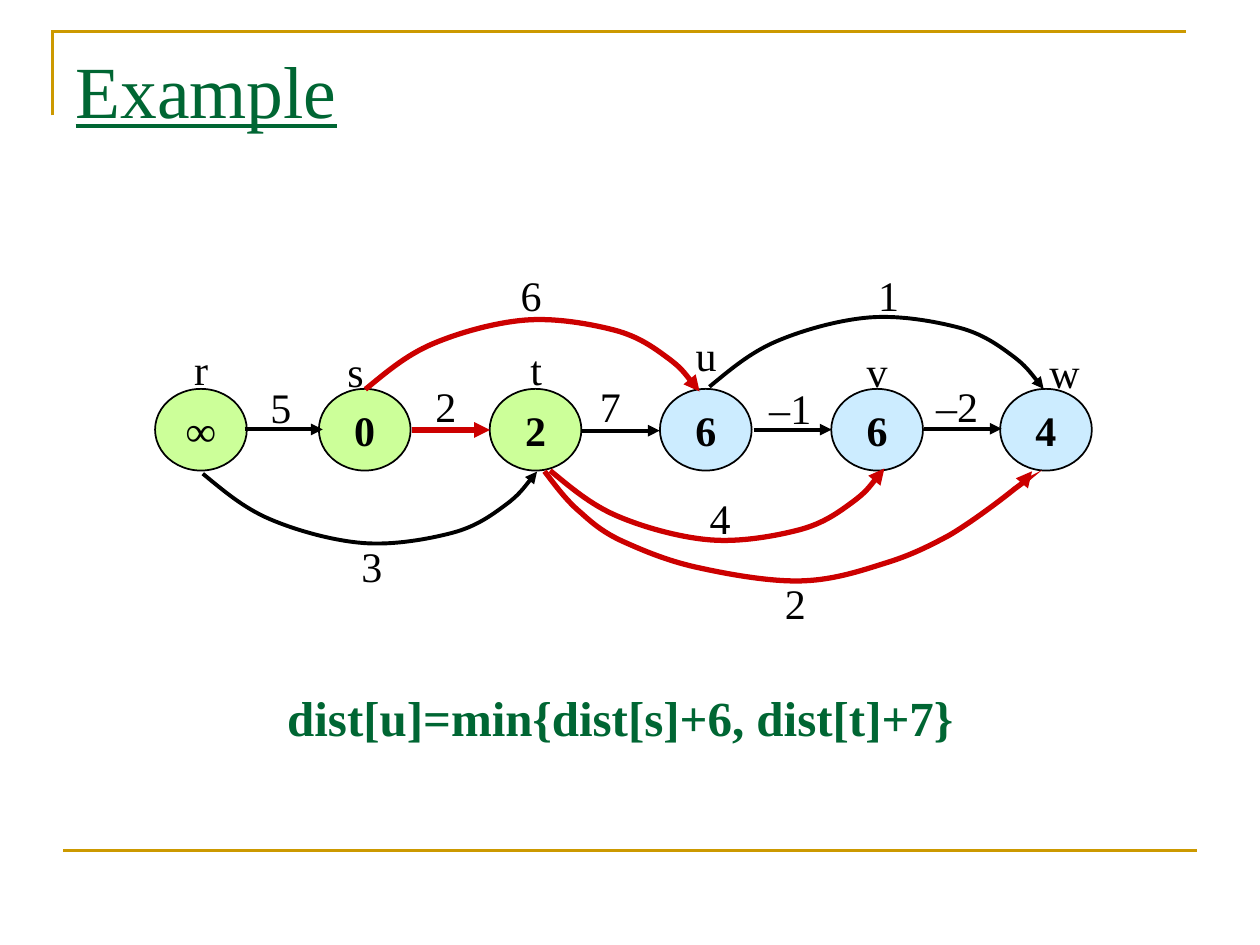
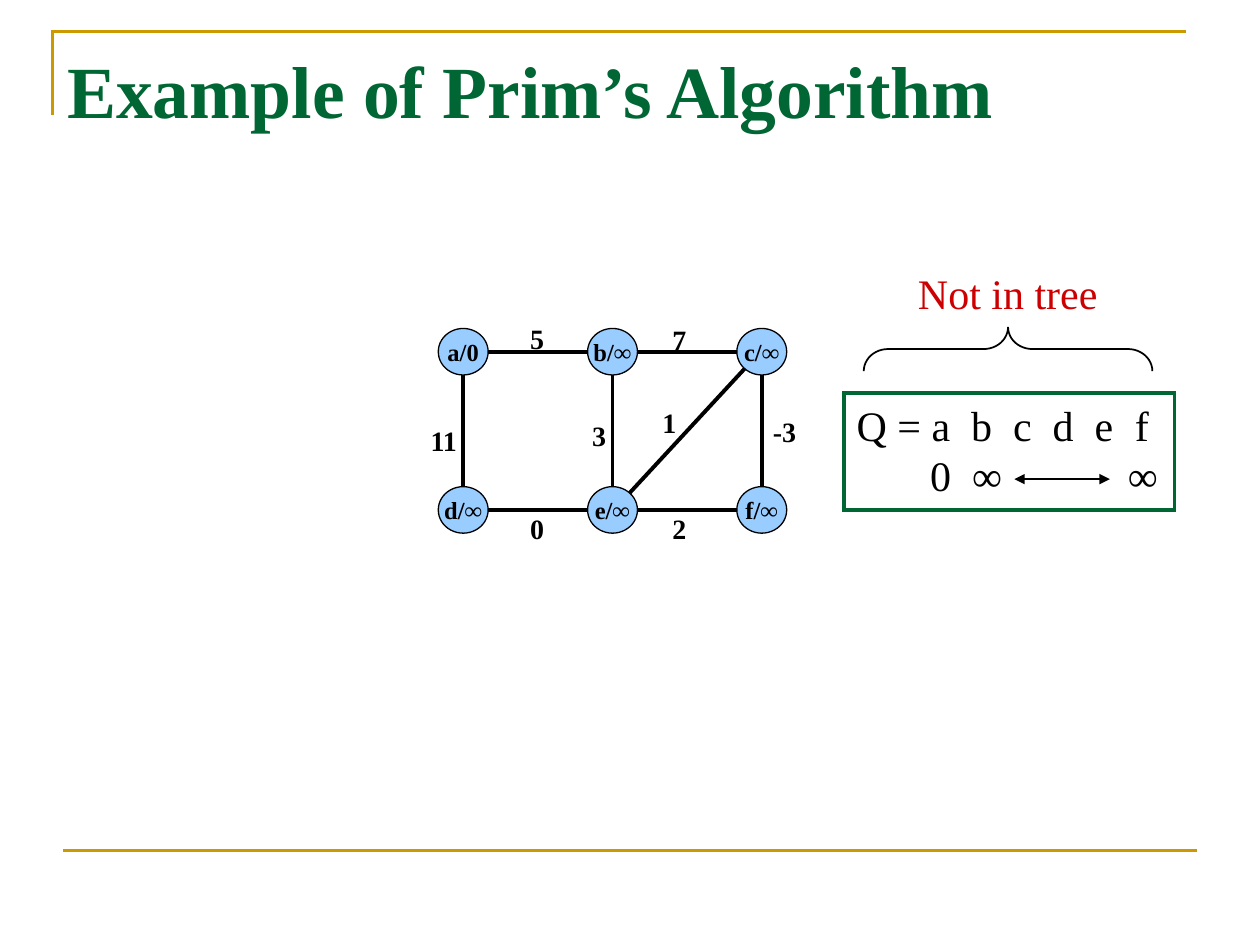
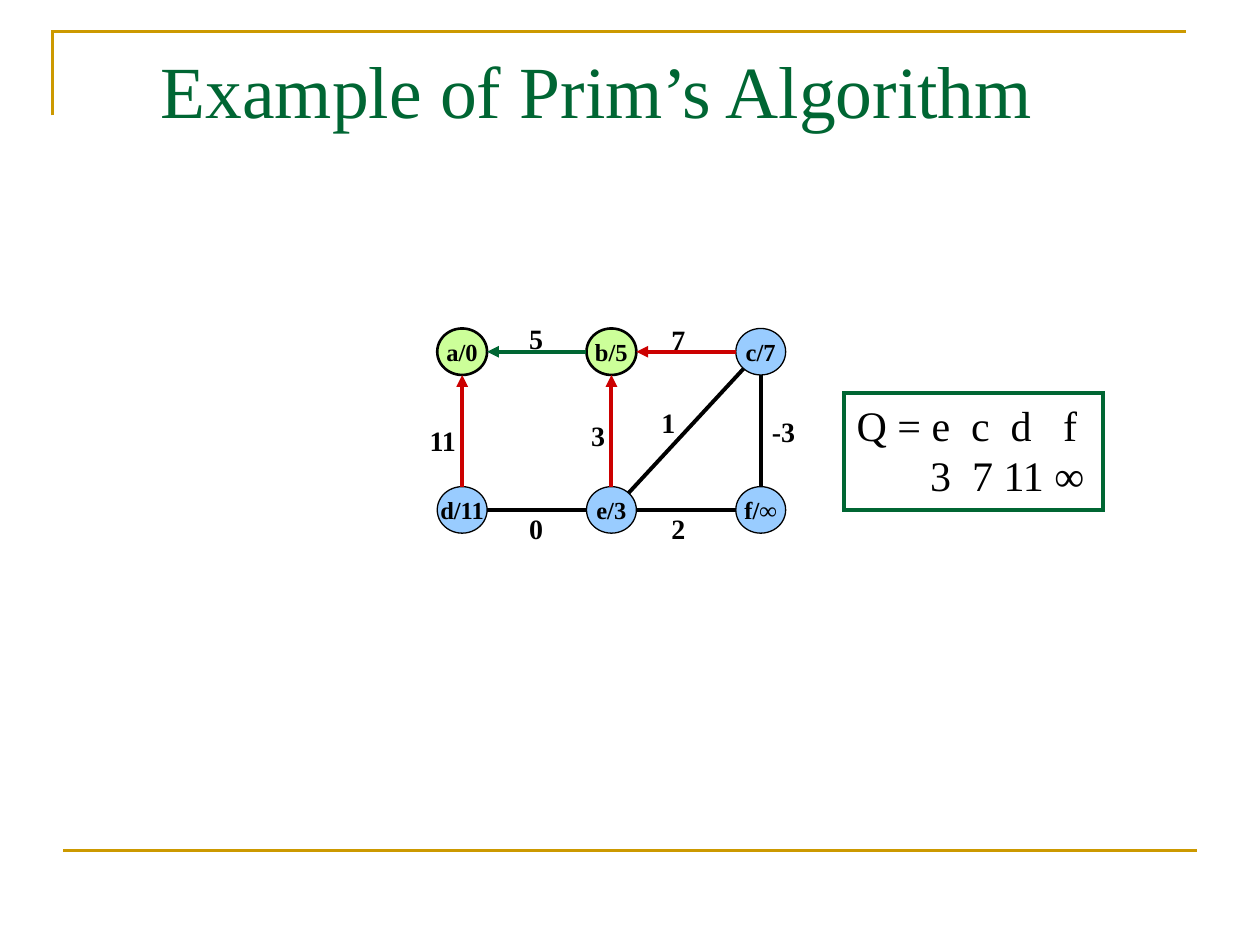
import math

from lxml import etree
from pptx import Presentation
from pptx.dml.color import RGBColor
from pptx.enum import shapes, text
from pptx.oxml import ns
from pptx.util import Pt

FONT = "Times New Roman"
BLACK, RED, GREEN, GOLD = "000000", "CC0000", "006633", "CC9900"
LIME, PALE_BLUE, SKY_BLUE = "CCFF99", "CCECFF", "99CCFF"
STRAIGHT = shapes.MSO_CONNECTOR.STRAIGHT
SHAPE = shapes.MSO_SHAPE
ALIGN = text.PP_ALIGN
FIT_SHAPE = text.MSO_AUTO_SIZE.SHAPE_TO_FIT_TEXT
hex_color = RGBColor.from_string


def outline(shape, color, width, ends=()):
    """Set line, sharp corners and arrowheads (headEnd, tailEnd); remove the shadow."""
    shape.line.color.rgb = hex_color(color)
    shape.line.width = Pt(width)
    properties = shape.element.spPr
    line = properties.find(ns.qn("a:ln"))
    etree.SubElement(line, ns.qn("a:miter"), lim="800000")
    for end in ends:
        etree.SubElement(line, ns.qn(f"a:{end}"), type="triangle")
    etree.SubElement(properties, ns.qn("a:effectLst"))


def write(shape, lines, size, color=BLACK, bold=False, align=ALIGN.LEFT, stops=()):
    """Fill a shape with one paragraph a line; stops holds tab positions per line."""
    frame = shape.text_frame
    frame.text = "\n".join(lines)
    for number, para in enumerate(frame.paragraphs):
        para.alignment = align
        if stops:
            tabs = etree.SubElement(para._p.get_or_add_pPr(), ns.qn("a:tabLst"))
            for stop in stops[number]:
                etree.SubElement(tabs, ns.qn("a:tab"), pos=str(Pt(stop)), algn="l")
        para.font.name = FONT
        para.font.size = Pt(size)
        para.font.bold = bold
        para.font.color.rgb = hex_color(color)


deck = Presentation()
deck.slide_width, deck.slide_height = Pt(720), Pt(540)

# Titles: left, width, height, wording, bold, underlined
titles = [
    (36, 648, 90, "Example", False, True),
    (31.2, 604, 82, "Example of Prim’s Algorithm", True, False),
    (84.7, 551, 82, "Example of Prim’s Algorithm", False, False),
]
pages = []
for left, width, height, wording, bold, underlined in titles:
    page = deck.slides.add_slide(deck.slide_layouts[5])
    title = page.shapes.title
    title.left, title.top = Pt(left), Pt(22)
    title.width, title.height = Pt(width), Pt(height)
    write(title, [wording], 42, GREEN, bold)
    title.text_frame.vertical_anchor = text.MSO_ANCHOR.TOP
    title.text_frame.auto_size = text.MSO_AUTO_SIZE.NONE
    title.text_frame.paragraphs[0].font.underline = underlined
    pages.append(page)
path_page, start_page, step_page = pages

# Gold rules, moved to the master so that every slide shows them
builder = path_page.shapes.build_freeform(Pt(30), Pt(66))
builder.add_line_segments([(Pt(30), Pt(18)), (Pt(678), Pt(18))], close=False)
corner = builder.convert_to_shape()
corner.fill.background()
footer_rule = path_page.shapes.add_connector(STRAIGHT, Pt(36), Pt(486), Pt(684), Pt(486))
for number, rule in enumerate((corner, footer_rule), start=20):
    outline(rule, GOLD, 1.5)
    rule.element.xpath(".//p:cNvPr")[0].set("id", str(number))
    deck.slide_master.shapes.element.append(rule.element)

# Slide 1: shortest paths in a row of vertices
vertices = [
    (88.6, "∞", LIME), (182.2, "0", LIME), (279.8, "2", LIME),
    (377.1, "6", PALE_BLUE), (475, "6", PALE_BLUE), (571.5, "4", PALE_BLUE),
]
for left, distance, color in vertices:
    vertex = path_page.shapes.add_shape(
        SHAPE.OVAL, Pt(left), Pt(222.2), Pt(52.4), Pt(46.7))
    vertex.fill.solid()
    vertex.fill.fore_color.rgb = hex_color(color)
    outline(vertex, BLACK, 1)
    write(vertex, [distance], 24, bold=True, align=ALIGN.CENTER)
    vertex.text_frame.word_wrap = False

arrows = [
    (139.8, 245.4, BLACK, 2.25), (527.8, 245, BLACK, 2.25),
    (430.6, 245.5, BLACK, 2.25), (332.4, 246.1, BLACK, 2.25),
    (235.4, 245.7, RED, 3),
]
for left, top, color, width in arrows:
    arrow = path_page.shapes.add_connector(
        STRAIGHT, Pt(left), Pt(top), Pt(left + 44.6), Pt(top))
    outline(arrow, color, width, ["tailEnd"])

# Bézier control points, measured from the start of each curve
arc = [
    (11.5, -9.4), (23, -19.4), (38.2, -25.9),
    (53.3, -32.4), (74.2, -38.2), (91.4, -39.6),
    (108.7, -41), (128.9, -37.4), (142.6, -33.8),
    (156.2, -30.2), (164.9, -23.8), (172.8, -18),
    (180.7, -12.2), (185.8, -5), (191, 1.2),
]
long_arc = [
    (6.5, 8.6), (13, 17.3), (20.9, 23.8),
    (28.8, 31), (35.3, 36), (46.8, 41),
    (58.3, 46.1), (72, 51.8), (89.3, 55.4),
    (105.8, 59), (130.3, 63.4), (148.3, 62.6),
    (165.6, 61.9), (180.7, 56.9), (194.4, 52.6),
    (208.8, 48.2), (218.9, 43.2), (231.1, 36.7),
    (243.4, 29.5), (260.6, 16.6), (268.6, 10.1),
    (276.5, 4.3), (277.9, 2.2), (278.6, 0),
]
# Start, control points, direction (-1 mirrors the arc downwards), colour, width
curves = [
    (208.8, 222.5, arc, 1, RED, 3),
    (405.4, 221, arc, 1, BLACK, 2.25),
    (115.9, 270.7, arc, -1, BLACK, 2.25),
    (314.4, 268.9, arc, -1, RED, 3),
    (311.2, 269.3, long_arc, 1, RED, 3),
]
for left, top, controls, direction, color, width in curves:
    builder = path_page.shapes.build_freeform(Pt(left), Pt(top))
    builder.add_line_segments(
        [(Pt(left + x), Pt(top + direction * y)) for x, y in controls], close=False)
    curve = builder.convert_to_shape()
    curve.fill.background()
    outline(curve, color, width, ["tailEnd"])
    # Every three straight segments become one cubic curve
    track = curve.element.xpath(".//a:path")[0]
    segments = track.findall(ns.qn("a:lnTo"))
    for first in range(0, len(segments), 3):
        bezier = etree.SubElement(track, ns.qn("a:cubicBezTo"))
        for segment in segments[first:first + 3]:
            bezier.append(segment[0])
            track.remove(segment)

# Vertex names and edge weights: wording, left, top, width
path_labels = [
    ("r", 103.9, 193, 22.3), ("s", 191.5, 193.7, 23.8), ("t", 296, 193, 20.9),
    ("u", 390.4, 184.6, 26.6), ("v", 488.2, 193.7, 26.6), ("w", 592.6, 194.4, 31.7),
    ("5", 147.4, 214.6, 26.6), ("2", 241.7, 213.8, 26.6), ("7", 335.7, 213.8, 26.6),
    ("–1", 432.5, 215.3, 38.2), ("–2", 527.9, 213.8, 38.2),
    ("6", 290.5, 150.5, 26.6), ("1", 494.8, 150.5, 26.6), ("3", 199.5, 305.3, 26.6),
    ("2", 441.4, 326.6, 26.6), ("4", 398.5, 277.9, 26.6),
]
for wording, left, top, width in path_labels:
    label = path_page.shapes.add_textbox(Pt(left), Pt(top), Pt(width), Pt(36))
    write(label, [wording], 24)
    label.text_frame.word_wrap = False
    label.text_frame.auto_size = FIT_SHAPE

formula = path_page.shapes.add_textbox(Pt(88), Pt(389.2), Pt(532.8), Pt(41))
formula.text_frame.word_wrap = True
write(formula, ["dist[u]=min{dist[s]+6, dist[t]+7}"], 28, GREEN, True, ALIGN.CENTER)

# Slides 2 and 3: one graph in two states
NODE_WIDTH, NODE_HEIGHT = 28.5, 26.6
# Edge, weight, then left, top and width of the weight
edges = [
    ("ad", "11", 239, 238.5, 30.2), ("bc", "7", 377.1, 180.7, 22.3),
    ("cf", "-3", 434.6, 233.3, 28), ("be", "3", 331.3, 235.4, 22.3),
    ("ef", "2", 377.1, 288.7, 22.3), ("de", "0", 295.9, 288.7, 22.3),
    ("ec", "1", 371.4, 228.2, 22.3), ("ab", "5", 295.9, 180, 22.3),
]
# Page, shift, keys, vertices in the tree, edge colours, queue width, lines and stops
states = [
    (start_page, 0, ["0", "∞", "∞", "∞", "∞", "∞"], "", {}, 188.8,
     ["Q = a\tb\tc\td\te\tf", "\t0\t∞\t∞"],
     [(65.5, 89.5, 112, 136, 159), (42, 66, 155)]),
    (step_page, -0.6, ["0", "5", "7", "11", "3", "∞"], "ab",
     {"ad": RED, "bc": RED, "be": RED, "ab": GREEN}, 147.8,
     ["Q = e\tc\td\tf", "\t3\t7 11 ∞"],
     [(65.5, 88, 118), (42, 66)]),
]
for page, shift, keys, tree, edge_colors, queue_width, queue_lines, stops in states:
    centers = {}
    for index, (name, key) in enumerate(zip("abcdef", keys)):
        row, column = divmod(index, 3)
        x, y = 264.7 + shift + 85.3 * column, 201 + 90.4 * row
        centers[name] = x, y
        node = page.shapes.add_shape(
            SHAPE.OVAL, Pt(x - NODE_WIDTH / 2), Pt(y - NODE_HEIGHT / 2),
            Pt(NODE_WIDTH), Pt(NODE_HEIGHT))
        node.fill.solid()
        node.fill.fore_color.rgb = hex_color(LIME if name in tree else SKY_BLUE)
        outline(node, BLACK, 1.5 if name in tree else 0.75)
        write(node, [f"{name}/{key}"], 14, bold=True, align=ALIGN.CENTER)
        node.text_frame.word_wrap = False

    for pair, weight, left, top, width in edges:
        (x1, y1), (x2, y2) = centers[pair[0]], centers[pair[1]]
        angle = math.atan2(y2 - y1, x2 - x1)
        dx, dy = NODE_WIDTH / 2 * math.cos(angle), NODE_HEIGHT / 2 * math.sin(angle)
        edge = page.shapes.add_connector(
            STRAIGHT, Pt(x1 + dx), Pt(y1 + dy), Pt(x2 - dx), Pt(y2 - dy))
        outline(edge, edge_colors.get(pair, BLACK), 2.25,
                ["headEnd"] if pair in edge_colors else [])
        label = page.shapes.add_textbox(Pt(left + shift), Pt(top), Pt(width), Pt(26.6))
        write(label, [weight], 16, bold=True)
        label.text_frame.word_wrap = False
        label.text_frame.auto_size = FIT_SHAPE

    queue = page.shapes.add_shape(
        SHAPE.RECTANGLE, Pt(482.4), Pt(224.5), Pt(queue_width), Pt(67))
    queue.fill.background()
    outline(queue, GREEN, 2.25)
    write(queue, queue_lines, 24, stops=stops)
    queue.text_frame.vertical_anchor = text.MSO_ANCHOR.TOP

same_keys = start_page.shapes.add_connector(
    STRAIGHT, Pt(579.6), Pt(273.8), Pt(634.2), Pt(273.8))
outline(same_keys, BLACK, 1, ["headEnd", "tailEnd"])

brace = start_page.shapes.add_shape(
    SHAPE.LEFT_BRACE, Pt(563.4), Pt(117), Pt(25.2), Pt(164.9))
brace.rotation = 90
brace.adjustments[0], brace.adjustments[1] = 0.55, 0.5
brace.fill.background()
outline(brace, BLACK, 1)

note = start_page.shapes.add_textbox(Pt(517.5), Pt(149.3), Pt(116.8), Pt(36))
write(note, ["Not in tree"], 24, RED)
note.text_frame.word_wrap = False
note.text_frame.auto_size = FIT_SHAPE

deck.save("out.pptx")
